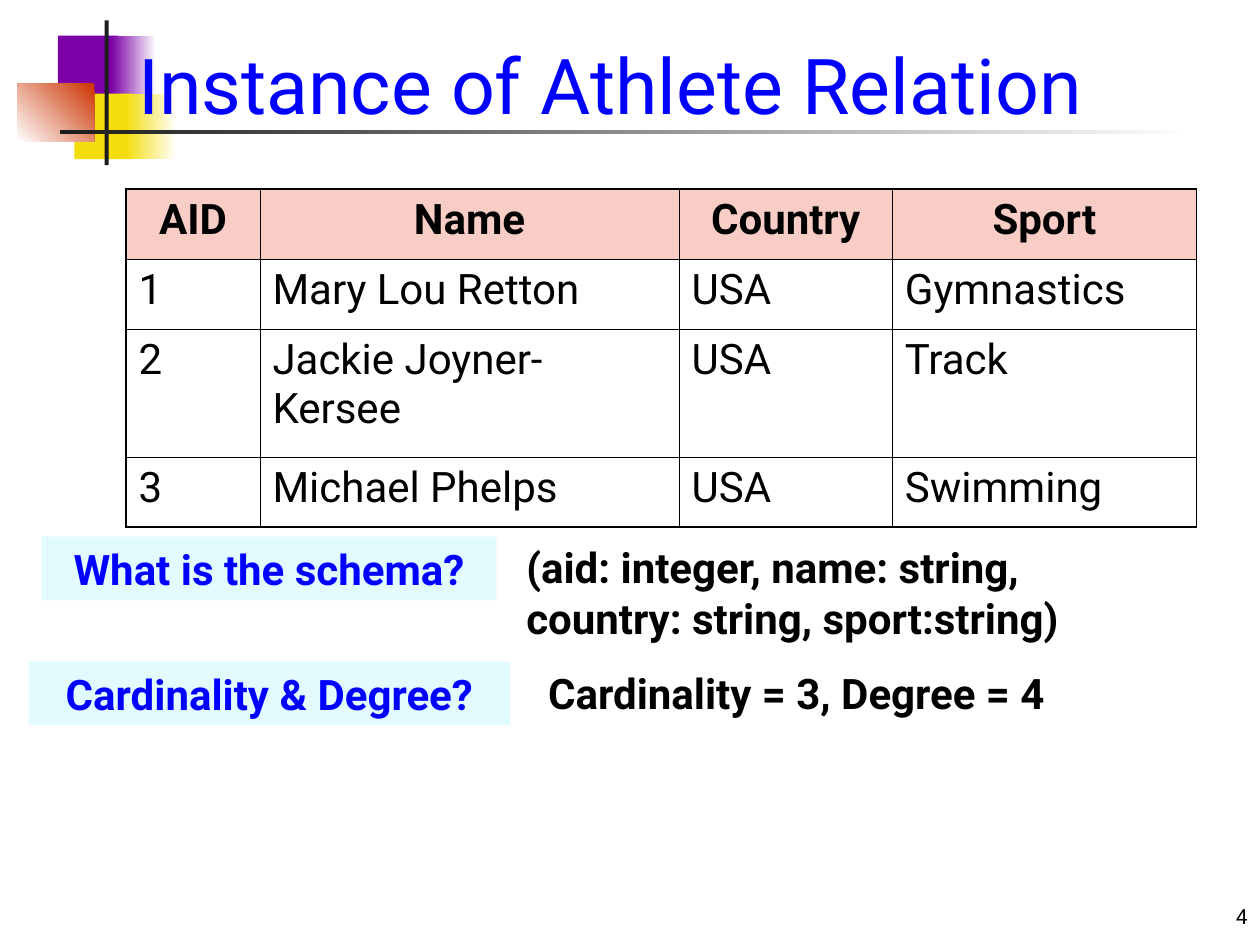
from lxml.etree import SubElement
from pptx import Presentation
from pptx.dml.color import RGBColor
from pptx.enum.shapes import MSO_SHAPE as Shape
from pptx.enum.text import MSO_ANCHOR as Anchor, PP_ALIGN as Align
from pptx.oxml.ns import qn
from pptx.util import Cm, Pt

FONT = "Roboto"
BLACK = RGBColor(0x00, 0x00, 0x00)
WHITE = RGBColor(0xFF, 0xFF, 0xFF)
BLUE = RGBColor(0x00, 0x00, 0xFF)
PURPLE = RGBColor(0x7B, 0x00, 0xA6)
YELLOW = RGBColor(0xF3, 0xDD, 0x0D)
RED = RGBColor(0xCC, 0x33, 0x00)
CHARCOAL = RGBColor(0x1C, 0x1C, 0x1C)
PINK = RGBColor(0xF8, 0xCD, 0xC6)
PALE_CYAN = RGBColor(0xE2, 0xFB, 0xFE)


def write(frame, text, size, color, bold=False, align=Align.LEFT, anchor=Anchor.TOP):
    frame.word_wrap = True
    frame.vertical_anchor = anchor
    paragraph = frame.paragraphs[0]
    paragraph.alignment = align
    run = paragraph.add_run()
    run.text = text
    run.font.name = FONT
    run.font.size = Pt(size)
    run.font.bold = bold
    run.font.color.rgb = color


def add_rectangle(box, start, end=None, angle=0):
    """Add a borderless rectangle, solid or with a gradient from start to end."""
    shape = slide.shapes.add_shape(Shape.RECTANGLE, *map(Cm, box))
    shape.shadow.inherit = False
    shape.line.fill.background()
    if end is None:
        shape.fill.solid()
        shape.fill.fore_color.rgb = start
    else:
        shape.fill.gradient()
        shape.fill.gradient_angle = angle
        for stop, color in zip(shape.fill.gradient_stops, (start, end)):
            stop.color.rgb = color
    return shape


presentation = Presentation()
presentation.slide_width = Cm(25.4)
presentation.slide_height = Cm(19.05)
slide = presentation.slides.add_slide(presentation.slide_layouts[6])

# Corner ornament and title rule
add_rectangle((1.17, 0.72, 1.22, 1.32), PURPLE)
add_rectangle((2.24, 0.72, 0.91, 1.32), WHITE, PURPLE, 180)
add_rectangle((1.5, 1.89, 1.17, 1.32), YELLOW)
add_rectangle((2.54, 1.89, 1.02, 1.32), WHITE, YELLOW, 180)
add_rectangle((0.35, 1.68, 1.55, 1.17), RED, WHITE, 225)
add_rectangle((2.11, 0.41, 0.08, 2.92), CHARCOAL)
add_rectangle((1.22, 2.62, 22.86, 0.08), WHITE, CHARCOAL, 180)

# Page number and title
number_box = slide.shapes.add_textbox(Cm(20.12), Cm(17.58), Cm(5.28), Cm(1.27))
write(number_box.text_frame, "4", 12, BLACK, align=Align.RIGHT, anchor=Anchor.BOTTOM)
title_box = slide.shapes.add_textbox(Cm(2.54), Cm(-0.43), Cm(22.43), Cm(3.18))
write(title_box.text_frame, "Instance of Athlete Relation", 44, BLUE, anchor=Anchor.BOTTOM)

# Athlete table
athletes = [
    ("AID", "Name", "Country", "Sport"),
    ("1", "Mary Lou Retton", "USA", "Gymnastics"),
    ("2", "Jackie Joyner-Kersee", "USA", "Track"),
    ("3", "Michael Phelps", "USA", "Swimming"),
]
column_widths = (2.7, 8.45, 4.3, 6.13)
row_heights = (1.41, 1.41, 2.58, 1.41)
last_row, last_column = len(row_heights) - 1, len(column_widths) - 1
table = slide.shapes.add_table(
    len(row_heights), len(column_widths), Cm(2.54), Cm(3.81),
    Cm(sum(column_widths)), Cm(sum(row_heights)),
).table
for column, width in zip(table.columns, column_widths):
    column.width = Cm(width)
for row, height in zip(table.rows, row_heights):
    row.height = Cm(height)

for r, record in enumerate(athletes):
    for c, text in enumerate(record):
        cell = table.cell(r, c)
        header = r == 0
        write(cell.text_frame, text, 24, BLACK, bold=header,
              align=Align.CENTER if header else Align.LEFT)

        # Thick outer borders, thin inner ones
        properties = cell._tc.get_or_add_tcPr()
        outer_sides = {"lnL": c == 0, "lnR": c == last_column,
                       "lnT": r == 0, "lnB": r == last_row}
        for side, outer in outer_sides.items():
            line = SubElement(properties, qn(f"a:{side}"), w=str(Pt(1.08 if outer else 0.45)))
            line_fill = SubElement(line, qn("a:solidFill"))
            SubElement(line_fill, qn("a:srgbClr"), val=str(BLACK))

        if header:
            cell.fill.solid()
            cell.fill.fore_color.rgb = PINK
        else:
            cell.fill.background()

# Questions and their answers
questions = [
    ("What is the schema?", (0.84, 10.82, 9.17, 1.28)),
    ("Cardinality & Degree?", (0.58, 13.34, 9.7, 1.28)),
]
for text, box in questions:
    question = add_rectangle(box, PALE_CYAN)
    write(question.text_frame, text, 24, BLUE, True, Align.CENTER, Anchor.MIDDLE)

answers = [
    ("(aid: integer, name: string, country: string, sport:string)", (10.36, 10.8, 13.77, 2.29)),
    ("Cardinality = 3, Degree = 4", (10.8, 13.34, 13.13, 1.28)),
]
for text, box in answers:
    answer = slide.shapes.add_textbox(*map(Cm, box))
    write(answer.text_frame, text, 24, BLACK, True)

presentation.save("out.pptx")
